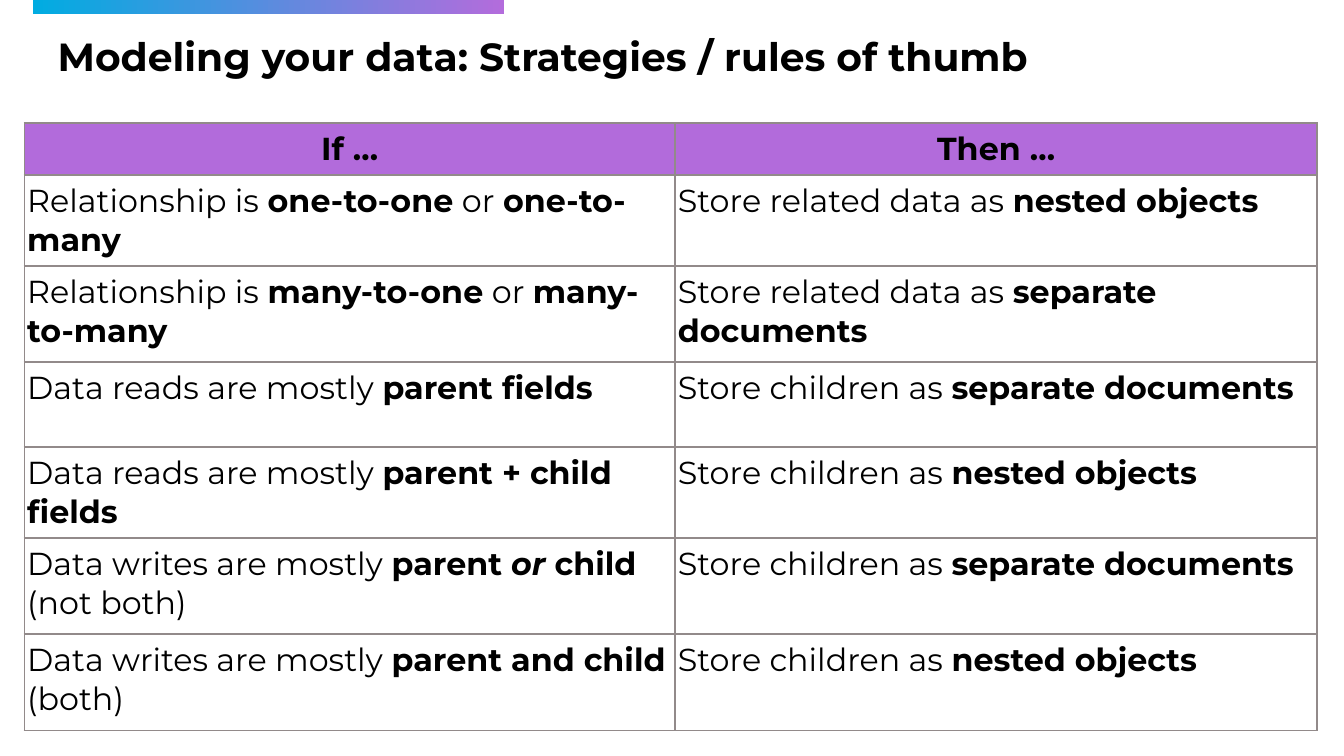
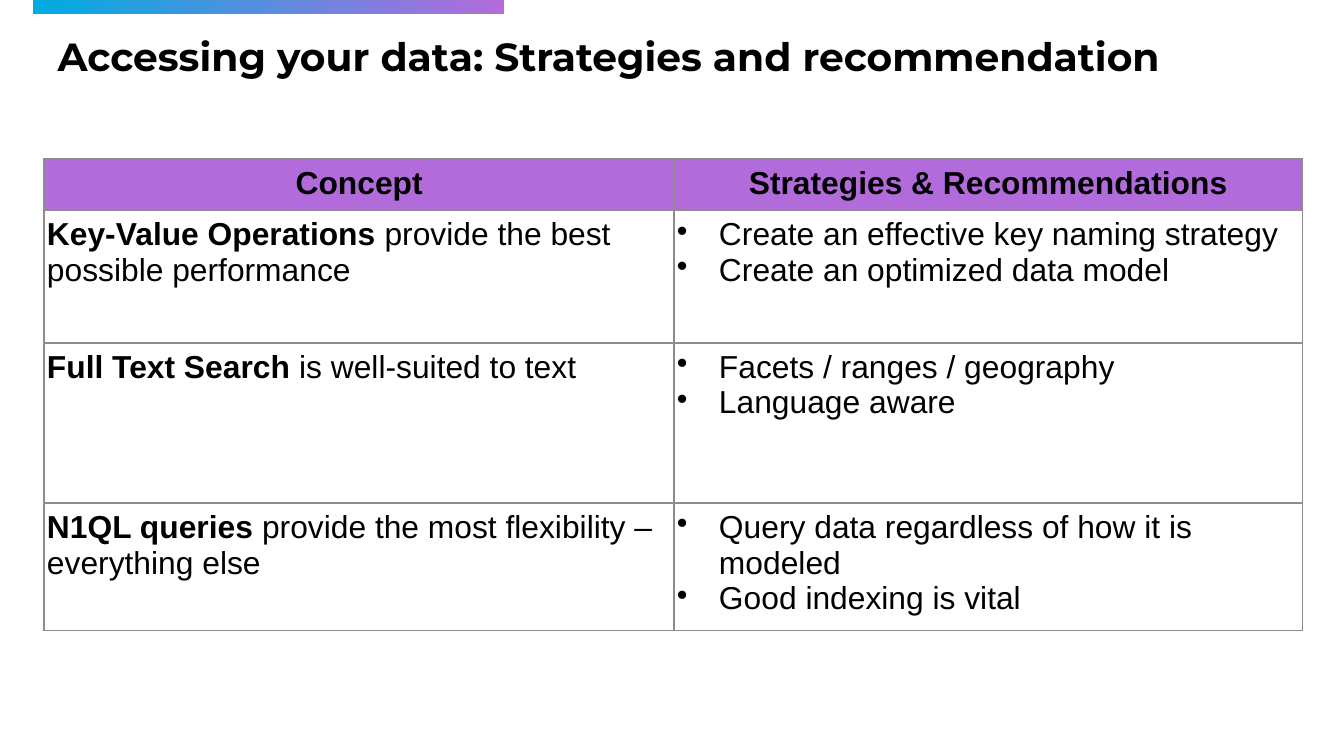
from lxml import etree
from pptx import Presentation
from pptx import util as u
from pptx.dml import color
from pptx.enum import shapes, text
from pptx.oxml import ns

COLORS = {"black": "000000", "header": "B26BDB", "border": "928A8A",
          "band_start": "00ACE1", "band_end": "B36CDC"}
TITLE_FONT = "Montserrat"
TITLE_SIZE = 21
TABLE_SIZE = 17
BULLET_INDENT = 22.5

# In cell text, ** toggles bold and _ toggles italic; a list makes bullets.
SLIDES = [
    {
        "title": "Modeling your data: Strategies / rules of thumb",
        "font": "Montserrat",
        "place": (13.1, 65.8),
        "columns": (348.6, 344),
        "heights": (26, 45.4, 51.6, 45.4, 45.4, 51.6, 51.6),
        "rows": [
            ("If …", "Then …"),
            ("Relationship is **one-to-one** or **one-to-many**",
             "Store related data as **nested objects**"),
            ("Relationship is **many-to-one** or **many-to-many**",
             "Store related data as **separate documents**"),
            ("Data reads are mostly **parent fields**",
             "Store children as **separate documents**"),
            ("Data reads are mostly **parent + child fields**",
             "Store children as **nested objects**"),
            ("Data writes are mostly **parent _or_ child** (not both)",
             "Store children as **separate documents**"),
            ("Data writes are mostly **parent and child** (both)",
             "Store children as **nested objects**"),
        ],
    },
    {
        "title": "Accessing your data: Strategies and recommendation",
        "font": "Arial",
        "place": (23.7, 85),
        "columns": (337.5, 336.6),
        "heights": (26.6, 71, 85.8, 61),
        "rows": [
            ("Concept", "Strategies & Recommendations"),
            ("**Key-Value Operations** provide the best possible performance",
             ["Create an effective key naming strategy",
              "Create an optimized data model"]),
            ("**Full Text Search** is well-suited to text",
             ["Facets / ranges / geography", "Language aware"]),
            ("**N1QL queries** provide the most flexibility – everything else",
             ["Query data regardless of how it is modeled",
              "Good indexing is vital"]),
        ],
    },
]


def rgb(name):
    return color.RGBColor.from_string(COLORS[name])


def set_font(para, name, size):
    para.font.name = name
    para.font.size = u.Pt(size)
    para.font.color.rgb = rgb("black")


def add_band(page):
    band = page.shapes.add_shape(shapes.MSO_SHAPE.RECTANGLE,
                                 u.Pt(17.5), 0, u.Pt(252.5), u.Pt(7.5))
    band.shadow.inherit = False
    band.line.fill.background()
    band.fill.gradient()
    band.fill.gradient_angle = 0
    for stop, name in zip(band.fill.gradient_stops, ("band_start", "band_end")):
        stop.color.rgb = rgb(name)


def add_title(page, title):
    box = page.shapes.add_textbox(u.Pt(23.8), u.Pt(15), u.Pt(645), u.Pt(32.5))
    frame = box.text_frame
    frame.word_wrap = True
    frame.vertical_anchor = text.MSO_ANCHOR.MIDDLE
    para = frame.paragraphs[0]
    para.line_spacing = 0.9
    para.add_run().text = title
    set_font(para, TITLE_FONT, TITLE_SIZE)
    para.font.bold = True


def add_marked_runs(para, marked):
    for i, part in enumerate(marked.split("**")):
        for j, piece in enumerate(part.split("_")):
            if piece:
                span = para.add_run()
                span.text = piece
                if i % 2:
                    span.font.bold = True
                if j % 2:
                    span.font.italic = True


def add_bullet(para):
    props = para._p.get_or_add_pPr()
    props.set("marL", str(u.Pt(BULLET_INDENT)))
    props.set("indent", str(-u.Pt(BULLET_INDENT)))
    etree.SubElement(props, ns.qn("a:buChar"), char="•")


def add_borders(cell):
    props = cell._tc.get_or_add_tcPr()
    for side in "LRTB":
        line = etree.SubElement(props, ns.qn(f"a:ln{side}"), w=str(u.Pt(1)))
        fill = etree.SubElement(line, ns.qn("a:solidFill"))
        etree.SubElement(fill, ns.qn("a:srgbClr"), val=COLORS["border"])


def fill_cell(cell, content, font, is_header):
    cell.margin_left = cell.margin_right = u.Pt(1.5)
    cell.margin_top = cell.margin_bottom = u.Pt(3.6)
    add_borders(cell)
    if is_header:
        cell.fill.solid()
        cell.fill.fore_color.rgb = rgb("header")
    else:
        cell.fill.background()
    bulleted = isinstance(content, list)
    frame = cell.text_frame
    for i, line in enumerate(content if bulleted else [content]):
        para = frame.add_paragraph() if i else frame.paragraphs[0]
        if bulleted:
            add_bullet(para)
        add_marked_runs(para, line)
        set_font(para, font, TABLE_SIZE)
        if is_header:
            para.font.bold = True
            para.alignment = text.PP_ALIGN.CENTER


def add_grid(page, content):
    rows, columns, heights = content["rows"], content["columns"], content["heights"]
    left, top = content["place"]
    table = page.shapes.add_table(len(rows), len(columns), u.Pt(left), u.Pt(top),
                                  u.Pt(sum(columns)), u.Pt(sum(heights))).table
    table.first_row = table.horz_banding = False
    for column, width in zip(table.columns, columns):
        column.width = u.Pt(width)
    for r, (row, height) in enumerate(zip(rows, heights)):
        table.rows[r].height = u.Pt(height)
        for c, cell_content in enumerate(row):
            fill_cell(table.cell(r, c), cell_content, content["font"], r == 0)


def main():
    deck = Presentation()
    deck.slide_width, deck.slide_height = u.Pt(720), u.Pt(405)
    for content in SLIDES:
        page = deck.slides.add_slide(deck.slide_layouts[6])
        add_band(page)
        add_grid(page, content)
        add_title(page, content["title"])
    deck.save("out.pptx")


if __name__ == "__main__":
    main()
